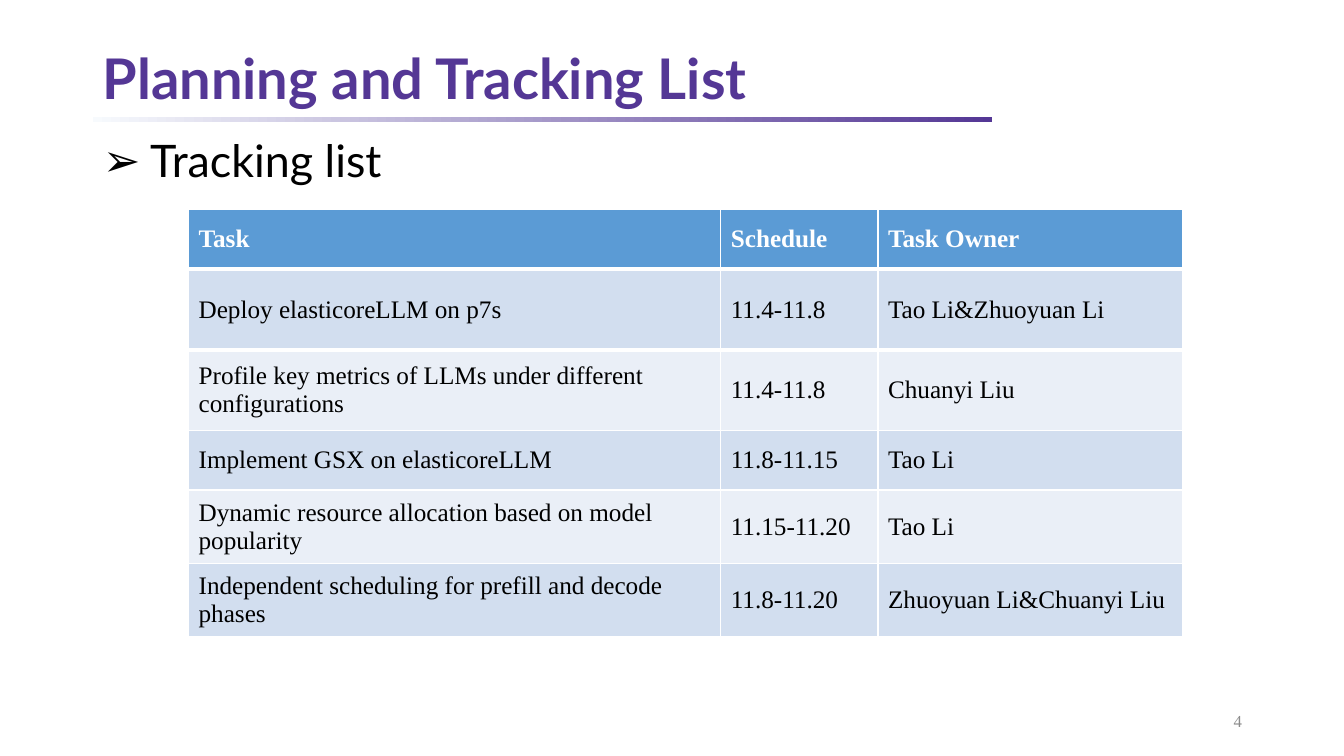
from pptx import Presentation
from pptx.dml.color import RGBColor as Rgb
from pptx.enum.shapes import MSO_SHAPE as Shp
from pptx.enum.text import MSO_ANCHOR as Anc, MSO_AUTO_SIZE as Fit, PP_ALIGN as Aln
from pptx.oxml import parse_xml
from pptx.oxml.ns import nsdecls
from pptx.util import Inches, Pt

HUES = {"brand": "543795", "pale": "F7FAFD", "ink": "000000", "white": "FFFFFF",
        "gray": "8C8C8C", "head": "5B9BD5", "odd": "D2DEEF", "even": "EAEFF7"}
TONES = {key: Rgb.from_string(val) for key, val in HUES.items()}
SERIF = "Times New Roman"

deck = Presentation()
deck.slide_width, deck.slide_height = Inches(13.33), Inches(7.5)
page = deck.slides.add_slide(deck.slide_layouts[1])


def box(*parts):
    """Percent shares of the slide as left, top, width, height."""
    sides = (deck.slide_width, deck.slide_height) * 2
    return [int(side * part / 100) for side, part in zip(sides, parts)]


def write(para, text, hue, **form):
    run = para.add_run()
    run.text = text
    for key, val in form.items():
        setattr(run.font, key, val)
    run.font.color.rgb = TONES[hue]


# Fading bar under the title
bar = page.shapes.add_shape(Shp.RECTANGLE, *box(6.9, 15.47, 66.9, 0.67))
bar.shadow.inherit = False
bar.line.fill.background()
bar.fill.gradient()
bar.fill.gradient_angle = 0
for stop, hue, pos in zip(bar.fill.gradient_stops, ("pale", "brand"), (0, 1)):
    stop.color.rgb, stop.position = TONES[hue], pos

# Title and list
title, body = page.placeholders
spots = ((title, (6.9, 5.73, 86.25, 10), Anc.MIDDLE),
         (body, (6.9, 17.73, 86.25, 72.4), Anc.TOP))
for item, spot, anchor in spots:
    item.left, item.top, item.width, item.height = box(*spot)
    frame = item.text_frame
    frame.auto_size, frame.vertical_anchor = Fit.NONE, anchor
    para = frame.paragraphs[0]
    para.alignment, para.line_spacing = Aln.LEFT, 0.9

write(title.text_frame.paragraphs[0], "Planning and Tracking List", "brand",
      name="Lato", size=Pt(40), bold=True)
para = body.text_frame.paragraphs[0]
para.space_before = Pt(10)
write(para, "Tracking list", "ink", name="Lato", size=Pt(32))
props = para._p.get_or_add_pPr()
props.set("marL", str(Inches(0.47)))
props.set("indent", str(-Inches(0.47)))
for mark in ('buFont {} typeface="Arial"', 'buChar {} char="➢"'):
    props.append(parse_xml(f'<a:{mark.format(nsdecls("a"))}/>'))

# Task table
rows = (("Task", "Schedule", "Task Owner"),
        ("Deploy elasticoreLLM on p7s", "11.4-11.8", "Tao Li&Zhuoyuan Li"),
        ("Profile key metrics of LLMs under different configurations", "11.4-11.8", "Chuanyi Liu"),
        ("Implement GSX on elasticoreLLM", "11.8-11.15", "Tao Li"),
        ("Dynamic resource allocation based on model popularity", "11.15-11.20", "Tao Li"),
        ("Independent scheduling for prefill and decode phases", "11.8-11.20", "Zhuoyuan Li&Chuanyi Liu"))
wide = (39.6, 11.7, 22.65)
tall = (7.87, 10.67, 10.67, 7.87, 9.73, 9.73)
grid = page.shapes.add_table(len(rows), len(wide),
                             *box(14.03, 27.73, sum(wide), sum(tall))).table
for col, share in zip(grid.columns, wide):
    col.width = box(share)[0]
for r, (row, share) in enumerate(zip(rows, tall)):
    grid.rows[r].height = box(0, share)[1]
    fill = "head" if r == 0 else ("even", "odd")[r % 2]
    for c, text in enumerate(row):
        cell = grid.cell(r, c)
        cell.vertical_anchor = Anc.MIDDLE
        cell.fill.solid()
        cell.fill.fore_color.rgb = TONES[fill]
        write(cell.text_frame.paragraphs[0], text, "ink" if r else "white",
              name=SERIF, size=Pt(18), bold=r == 0)
        # Thick rule on both sides of the header edge
        if r < 2:
            edge = ("lnB", "lnT")[r]
            rule = parse_xml(f'<a:{edge} {nsdecls("a")} w="{Pt(3)}"><a:solidFill>'
                             f'<a:srgbClr val="{HUES["white"]}"/></a:solidFill></a:{edge}>')
            cell._tc.get_or_add_tcPr().insert(0, rule)

# Page number
foot = page.shapes.add_textbox(*box(70.65, 92.67, 22.5, 5.33)).text_frame
foot.word_wrap, foot.vertical_anchor = True, Anc.MIDDLE
foot.paragraphs[0].alignment = Aln.RIGHT
write(foot.paragraphs[0], "4", "gray", name=SERIF, size=Pt(12))

deck.save("out.pptx")
